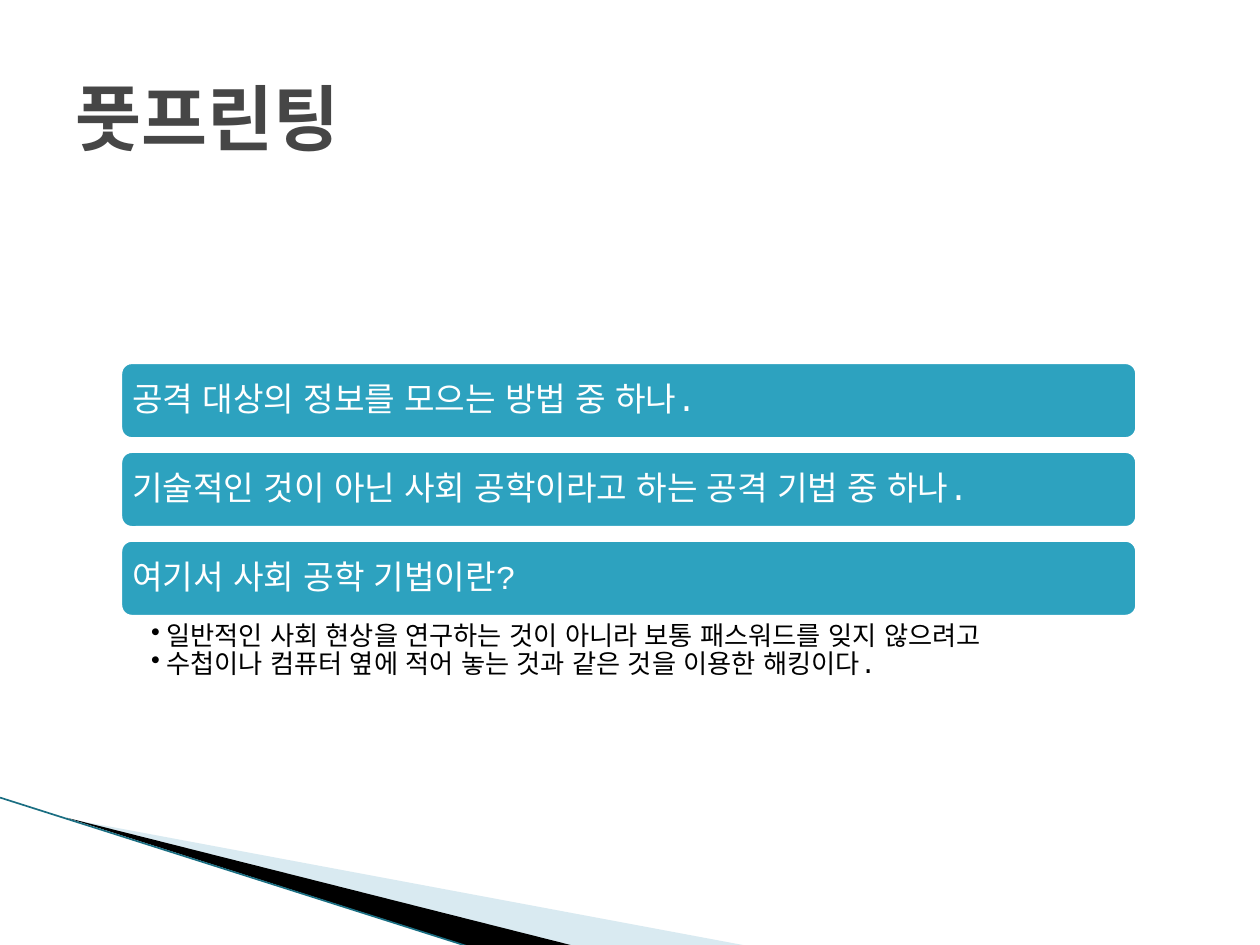
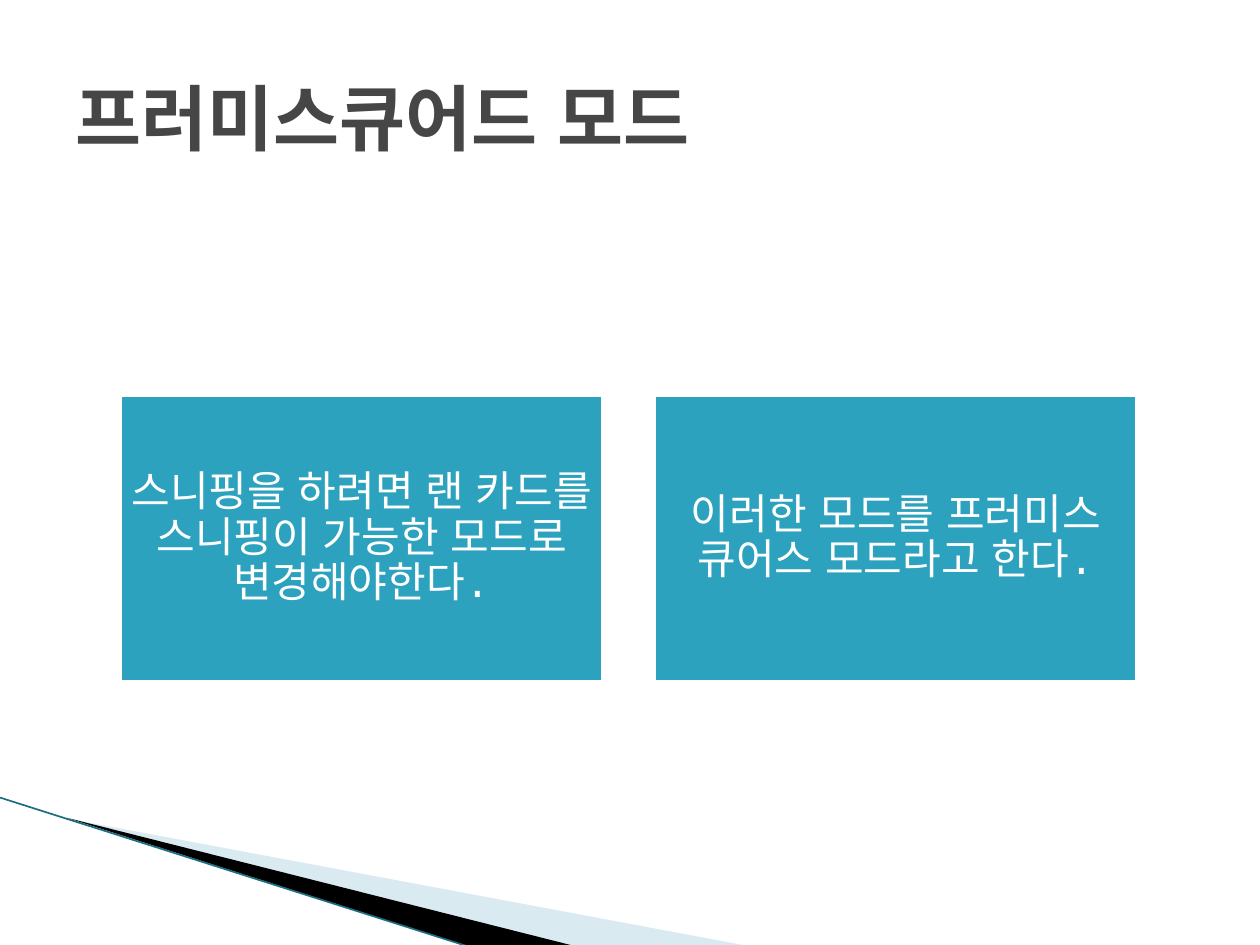
from dataclasses import dataclass
from lxml.etree import SubElement as Sub
from pptx import Presentation
from pptx.dml.color import RGBColor as RGB
from pptx.enum.lang import MSO_LANGUAGE_ID as Lang
from pptx.enum.shapes import MSO_CONNECTOR as Conn, MSO_SHAPE as Kind
from pptx.enum.text import MSO_ANCHOR as Anchor, PP_ALIGN as Align
from pptx.oxml.ns import qn
from pptx.util import Inches, Pt


@dataclass(frozen=True)
class Theme:
    font: str = "Courier New"
    title: str = "464646"
    fill: str = "2DA2BF"
    pale: str = "A0CBDC"
    edge: str = "1A6E82"
    white: str = "FFFFFF"
    black: str = "000000"
    head: int = 41
    card: int = 24
    bar: int = 19
    note: int = 15
    rim: float = 4.33
    hair: float = 0.95


T = Theme()


def write(shape, lines, size, color, bold=False, align=Align.LEFT,
          anchor=Anchor.MIDDLE, pad=(0.1, 0.05, 0.1, 0.05), space=0.9, dot=None):
    frame = shape.text_frame
    frame.word_wrap = True
    frame.vertical_anchor = anchor
    (frame.margin_left, frame.margin_top,
     frame.margin_right, frame.margin_bottom) = map(Inches, pad)
    for i, line in enumerate(lines):
        para = frame.paragraphs[0] if i == 0 else frame.add_paragraph()
        para.alignment = align
        para.line_spacing = space
        run = para.add_run()
        run.text = line
        font = run.font
        font.name, font.size, font.bold = T.font, Pt(size), bold
        font.color.rgb = RGB.from_string(color)
        font.language_id = Lang.KOREAN
        if dot:
            props = para._p.get_or_add_pPr()
            props.set("marL", str(Inches(dot)))
            props.set("indent", str(-Inches(dot)))
            Sub(props, qn("a:buChar")).set("char", "•")


def text(slide, box, lines, **form):
    write(slide.shapes.add_textbox(*map(Inches, box)), lines, **form)


def block(slide, kind, box, line, **form):
    shape = slide.shapes.add_shape(kind, *map(Inches, box))
    shape.shadow.inherit = False
    shape.fill.solid()
    shape.fill.fore_color.rgb = RGB.from_string(T.fill)
    shape.line.color.rgb = RGB.from_string(T.white)
    shape.line.width = Pt(T.rim)
    write(shape, [line], color=T.white, **form)


def wedge(slide, points, color, alpha=None):
    spots = [(Inches(x), Inches(y)) for x, y in points]
    path = slide.shapes.build_freeform(*spots[0])
    path.add_line_segments(spots[1:], close=True)
    shape = path.convert_to_shape()
    shape.shadow.inherit = False
    shape.fill.solid()
    shape.fill.fore_color.rgb = RGB.from_string(color)
    shape.line.fill.background()
    if alpha:
        tint = shape._element.spPr.find(qn("a:solidFill"))[0]
        Sub(tint, qn("a:alpha")).set("val", str(alpha * 1000))


def swoosh(slide, box):
    x, y, w, h = box
    low = y + h
    wedge(slide, [(x + 0.55, y + 0.17), (x + w, low), (x + 4.56, low)], T.pale, 40)
    wedge(slide, [(x + 0.53, y + 0.16), (x + 4.57, low), (x + 3.72, low)], T.black)
    line = slide.shapes.add_connector(
        Conn.STRAIGHT, *map(Inches, (x, y, x + 3.71, low)))
    line.line.color.rgb = RGB.from_string(T.edge)
    line.line.width = Pt(T.hair)
    Sub(line._element.spPr, qn("a:effectLst"))


def start(deck, title):
    slide = deck.slides.add_slide(deck.slide_layouts[6])
    swoosh(slide, (0, 6.33, 5.95, 1.18))
    text(slide, (0.5, 0.3, 9, 1.25), [title], size=T.head, color=T.title,
         bold=True, space=1.0)
    return slide


def bars(slide, box, lines, notes):
    x, y, w, h = box
    tall, step = 0.64, 0.705
    for i, line in enumerate(lines):
        block(slide, Kind.ROUNDED_RECTANGLE, (x, y + i * step, w, tall), line,
              size=T.bar, pad=(0.08,) * 4)
    top = (len(lines) - 1) * step + tall
    text(slide, (x, y + top, w, h - top), notes, size=T.note, color=T.black,
         anchor=Anchor.TOP, pad=(0.26, 0.03, 0.15, 0.03), dot=0.12)


def cards(slide, box, lines, gap=0.38):
    x, y, w, h = box
    wide = (w - gap * (len(lines) - 1)) / len(lines)
    for i, line in enumerate(lines):
        block(slide, Kind.RECTANGLE, (x + i * (wide + gap), y, wide, h), line,
              size=T.card, align=Align.CENTER, pad=(0.1,) * 4)


def main():
    deck = Presentation()
    deck.slide_width, deck.slide_height = Inches(10), Inches(7.5)
    bars(start(deck, "풋프린팅"), (0.94, 2.86, 8.1, 2.85),
         ["공격 대상의 정보를 모으는 방법 중 하나.",
          "기술적인 것이 아닌 사회 공학이라고 하는 공격 기법 중 하나.",
          "여기서 사회 공학 기법이란?"],
         ["일반적인 사회 현상을 연구하는 것이 아니라 보통 패스워드를 잊지 않으려고",
          "수첩이나 컴퓨터 옆에 적어 놓는 것과 같은 것을 이용한 해킹이다."])
    cards(start(deck, "프러미스큐어드 모드"), (0.94, 3.12, 8.1, 2.31),
          ["스니핑을 하려면 랜 카드를 스니핑이 가능한 모드로 변경해야한다.",
           "이러한 모드를 프러미스 큐어스 모드라고 한다."])
    deck.save("out.pptx")


if __name__ == "__main__":
    main()
